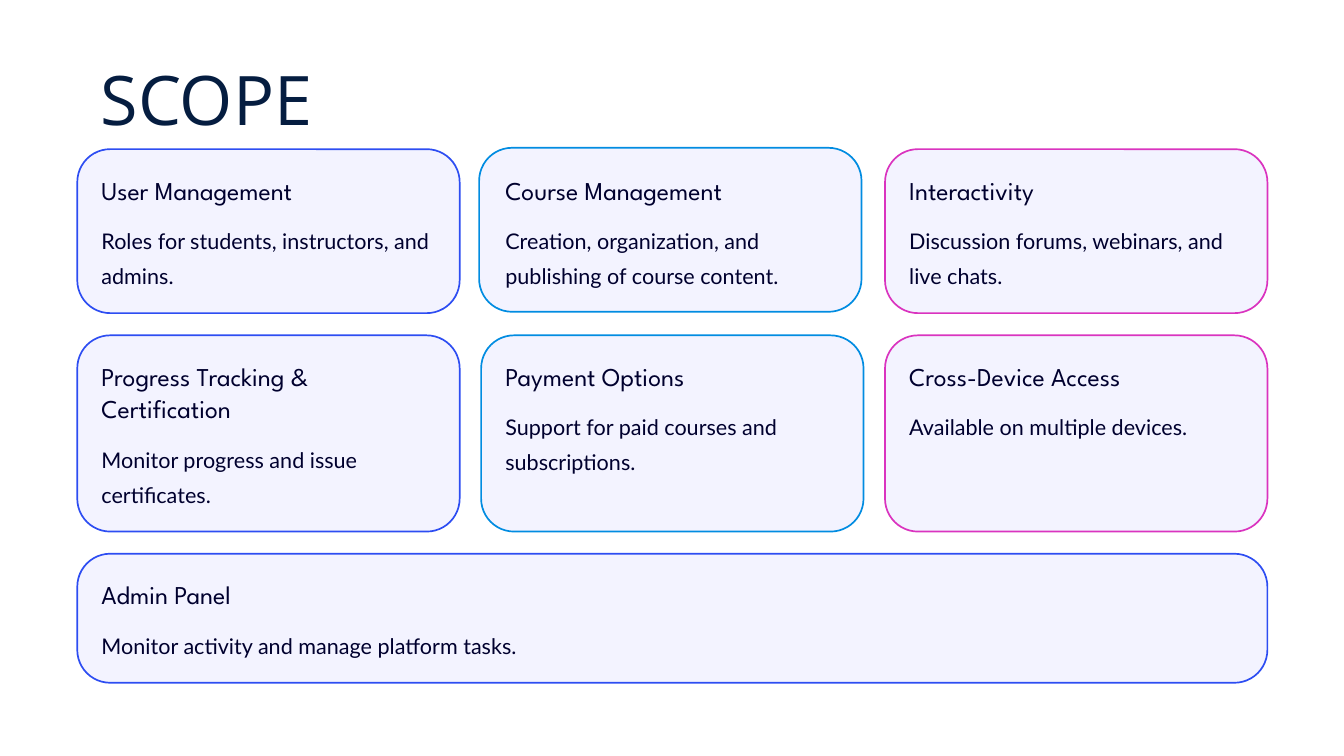
from dataclasses import dataclass

from pptx import Presentation
from pptx.dml.color import RGBColor
from pptx.enum.shapes import MSO_SHAPE
from pptx.enum.text import MSO_AUTO_SIZE
from pptx.util import Pt

PX = 9144  # EMU per px, 100 px to the inch

NAVY = RGBColor(0x05, 0x1D, 0x40)
INK = RGBColor(0x00, 0x00, 0x2E)
PALE = RGBColor(0xF3, 0xF3, 0xFF)
BLUE = RGBColor(0x2D, 0x4D, 0xF2)
SKY = RGBColor(0x01, 0x8C, 0xE1)
PINK = RGBColor(0xDA, 0x33, 0xBF)
WHITE = RGBColor(0xFF, 0xFF, 0xFF)

COLUMNS = (115, 716, 1317)
ROWS = (222, 499, 824)
HEIGHTS = (244, 292, 192)
CARD_W = 569
FULL_W = COLUMNS[2] + CARD_W - COLUMNS[0]
RADIUS = 49
PAD = 36
HEAD_LINE = 48
BODY_LINE = 52
GAP = 20


@dataclass(frozen=True)
class Style:
    font: str
    size: float
    spacing: float
    color: RGBColor


@dataclass(frozen=True)
class Card:
    col: int
    row: int
    color: RGBColor
    heading: str
    body: str
    head_lines: int = 1
    body_lines: int = 2
    width: int = CARD_W
    dx: int = 0  # shift of the outline against its text
    dy: int = 0


TITLE = Style("Open Sans", 73.2, 102.5, NAVY)
HEADING = Style("League Spartan", 27.5, 34.4, INK)
BODY = Style("Lato", 23.1, 37.5, INK)

CARDS = (
    Card(0, 0, BLUE, "User Management",
         "Roles for students, instructors, and admins."),
    Card(1, 0, SKY, "Course Management",
         "Creation, organization, and publishing of course content.",
         dx=-3, dy=-2),
    Card(2, 0, PINK, "Interactivity",
         "Discussion forums, webinars, and live chats."),
    Card(0, 1, BLUE, "Progress Tracking & Certification",
         "Monitor progress and issue certificates.", head_lines=2),
    Card(1, 1, SKY, "Payment Options",
         "Support for paid courses and subscriptions."),
    Card(2, 1, PINK, "Cross-Device Access",
         "Available on multiple devices.", body_lines=1),
    Card(0, 2, BLUE, "Admin Panel",
         "Monitor activity and manage platform tasks.",
         body_lines=1, width=FULL_W),
)


def add_text(s, text: str, style: Style, x: int, y: int, w: int, h: int,
             wrap: bool = True):
    tf = s.shapes.add_textbox(x * PX, y * PX, w * PX, h * PX).text_frame
    tf.margin_left = tf.margin_top = tf.margin_right = tf.margin_bottom = 0
    tf.word_wrap = wrap
    p = tf.paragraphs[0]
    p.line_spacing = Pt(style.spacing)
    r = p.add_run()
    r.text = text
    r.font.name = style.font
    r.font.size = Pt(style.size)
    r.font.color.rgb = style.color
    return tf


def add_card(s, card: Card) -> None:
    x, y, h = COLUMNS[card.col], ROWS[card.row], HEIGHTS[card.row]

    # Outline
    sp = s.shapes.add_shape(MSO_SHAPE.ROUNDED_RECTANGLE, (x + card.dx) * PX,
                            (y + card.dy) * PX, card.width * PX, h * PX)
    sp.adjustments[0] = RADIUS / h
    sp.shadow.inherit = False
    sp.fill.solid()
    sp.fill.fore_color.rgb = PALE
    sp.line.color.rgb = card.color
    sp.line.width = Pt(1.8)

    # Heading and body
    text_w = card.width - 2 * PAD
    head_h = card.head_lines * HEAD_LINE
    add_text(s, card.heading, HEADING, x + PAD, y + PAD, text_w, head_h,
             wrap=card.head_lines > 1)
    add_text(s, card.body, BODY, x + PAD, y + PAD + head_h + GAP, text_w,
             card.body_lines * BODY_LINE, wrap=card.body_lines > 1)


def main() -> None:
    prs = Presentation()
    prs.slide_width, prs.slide_height = 2000 * PX, 1125 * PX
    s = prs.slides.add_slide(prs.slide_layouts[6])
    s.background.fill.solid()
    s.background.fill.fore_color.rgb = WHITE

    # Scope cards
    for card in CARDS:
        add_card(s, card)

    # Title
    tf = add_text(s, "SCOPE", TITLE, 150, 65, 739, 136)
    tf.auto_size = MSO_AUTO_SIZE.SHAPE_TO_FIT_TEXT

    prs.save("out.pptx")


if __name__ == "__main__":
    main()
